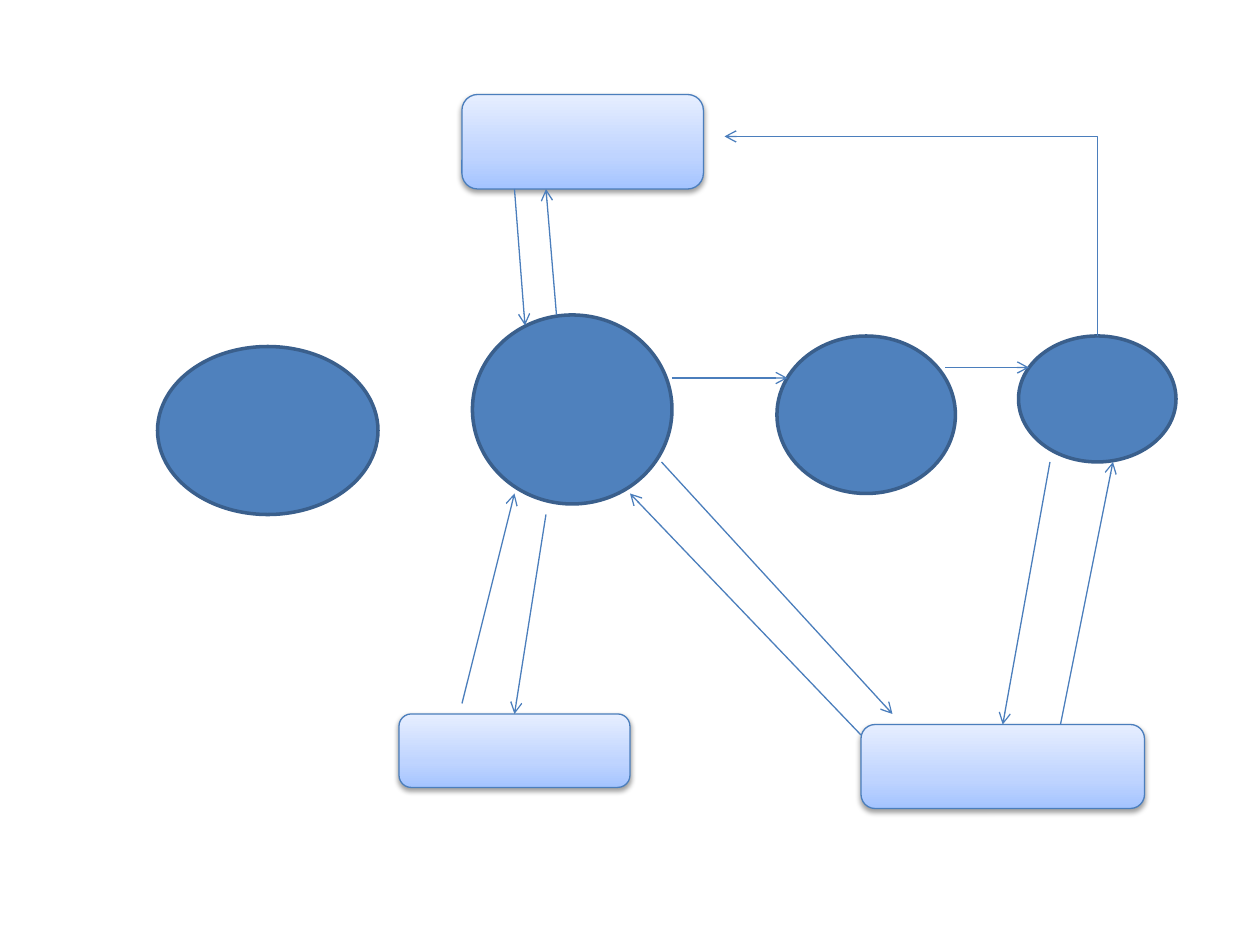
from copy import deepcopy

from lxml import etree
from pptx import Presentation, util as u
from pptx.dml.color import RGBColor
from pptx.enum import shapes
from pptx.oxml.ns import qn

COLORS = {
    "ellipse": "4F81BD",
    "ellipse_line": "3A5F8C",
    "line": "4B7EBC",
    "box_dark": "A4C4FF",
    "box_middle": "BFD4FF",
    "box_light": "E6EEFF",
    "shadow": "000000",
}
COLUMNS, ROWS = 120, 90
WIDTH, HEIGHT = u.Inches(10), u.Inches(7.5)


def color(name):
    return RGBColor.from_string(COLORS[name])


def across(columns):
    return round(WIDTH * columns / COLUMNS)


def down(rows):
    return round(HEIGHT * rows / ROWS)


def add_part(slide, kind, box, line_name, line_width):
    left, top, width, height = box
    shape = slide.shapes.add_shape(kind, across(left), down(top), across(width), down(height))
    shape.shadow.inherit = False
    shape.line.color.rgb = color(line_name)
    shape.line.width = u.Pt(line_width)
    return shape


def add_process(slide, box):
    shape = add_part(slide, shapes.MSO_SHAPE.OVAL, box, "ellipse_line", 2)
    shape.fill.solid()
    shape.fill.fore_color.rgb = color("ellipse")
    return shape


def add_store(slide, box):
    shape = add_part(slide, shapes.MSO_SHAPE.ROUNDED_RECTANGLE, box, "line", 0.75)
    shape.fill.gradient()
    shape.fill.gradient_angle = 90
    properties = shape._element.spPr
    stops = properties.find(".//" + qn("a:gsLst"))
    stops.insert(1, deepcopy(stops[0]))
    levels = ((0, "box_dark"), (0.35, "box_middle"), (1, "box_light"))
    for stop, (position, name) in zip(shape.fill.gradient_stops, levels):
        stop.position = position
        stop.color.rgb = color(name)
    effects = properties.find(qn("a:effectLst"))
    shadow = etree.SubElement(effects, qn("a:outerShdw"), blurRad=str(u.Pt(3.1)),
                              dist=str(u.Pt(1.6)), dir="5400000", rotWithShape="0")
    shade = etree.SubElement(shadow, qn("a:srgbClr"), val=COLORS["shadow"])
    etree.SubElement(shade, qn("a:alpha"), val="38000")
    return shape


def add_arrow(slide, start, end, kind=shapes.MSO_CONNECTOR.STRAIGHT):
    connector = slide.shapes.add_connector(
        kind, across(start[0]), down(start[1]), across(end[0]), down(end[1]))
    connector.line.color.rgb = color("line")
    connector.line.width = u.Pt(0.75)
    etree.SubElement(connector.line._get_or_add_ln(), qn("a:tailEnd"), type="arrow")
    etree.SubElement(connector._element.spPr, qn("a:effectLst"))
    return connector


def add_corner_arrow(slide, start, end):
    middle_x, middle_y = (start[0] + end[0]) / 2, (start[1] + end[1]) / 2
    half_width, half_height = (start[1] - end[1]) / 2, (start[0] - end[0]) / 2
    connector = add_arrow(slide, (middle_x - half_width, middle_y + half_height),
                          (middle_x + half_width, middle_y - half_height),
                          shapes.MSO_CONNECTOR.ELBOW)
    properties = connector._element.spPr
    properties.find(qn("a:prstGeom")).set("prst", "bentConnector2")
    properties.find(qn("a:xfrm")).set("rot", str(270 * 60000))


def add_flow_diagram(slide):
    for box in ((15, 33, 21, 16), (45, 30, 19, 18), (74, 32, 17, 15), (97, 32, 15, 12)):
        add_process(slide, box)
    add_store(slide, (44, 9, 23, 9))
    left_store = add_store(slide, (38, 68, 22, 7))
    right_store = add_store(slide, (82, 69, 27, 8))

    for start, end, target in (
        ((49, 18), (50, 31), None),
        ((53, 30), (52, 18), None),
        ((44, 67), (49, 47), None),
        ((52, 49), (49, 68), left_store),
        ((82, 70), (60, 47), None),
        ((63, 44), (85, 68), None),
        ((64, 36), (75, 36), None),
        ((90, 35), (98, 35), None),
        ((100, 44), (95.5, 69), right_store),
        ((101, 69), (106, 44), None),
    ):
        connector = add_arrow(slide, start, end)
        if target is not None:
            connector.end_connect(target, 0)
    add_corner_arrow(slide, (104.5, 32), (69, 13))


def main():
    presentation = Presentation()
    presentation.slide_width, presentation.slide_height = WIDTH, HEIGHT
    slide = presentation.slides.add_slide(presentation.slide_layouts[6])
    add_flow_diagram(slide)
    presentation.save("out.pptx")


if __name__ == "__main__":
    main()
